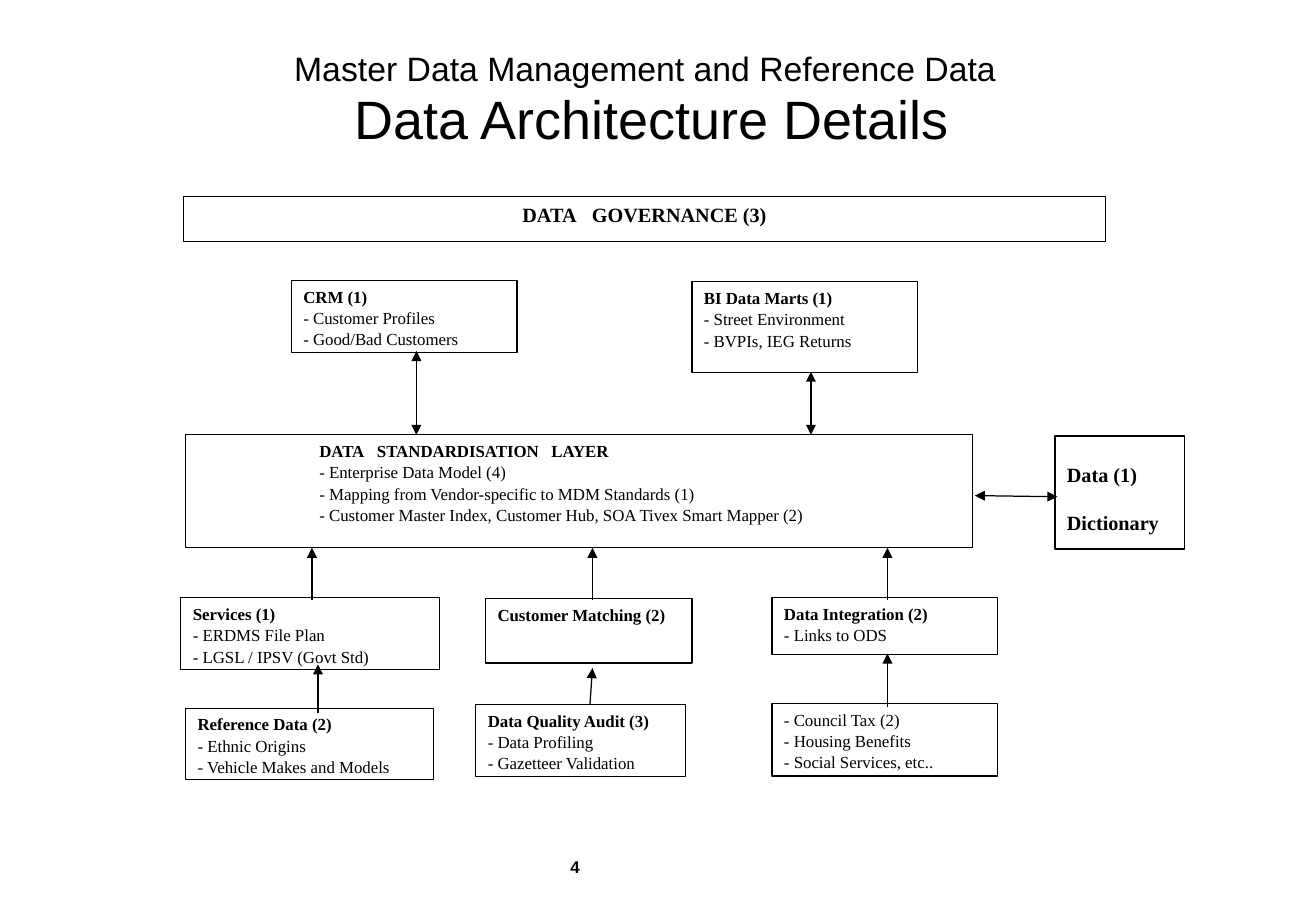
"""Builds the data architecture slide."""
from lxml.etree import SubElement as Sub
from pptx import Presentation as Deck
from pptx.dml.color import RGBColor as Color
from pptx.enum.shapes import MSO_CONNECTOR as Link, MSO_SHAPE as Form
from pptx.enum.text import MSO_ANCHOR as Anchor, MSO_AUTO_SIZE as Fit, PP_ALIGN as Align
from pptx.oxml.ns import qn
from pptx.util import Inches, Pt

BLACK = Color(0, 0, 0)
WHITE = Color(255, 255, 255)
SANS, SERIF = "Arial", "Times New Roman"
CELL = 0.1


def grid(*nums):
    """Turn columns and rows into lengths."""
    return [Inches(num * CELL) for num in nums]


class Page:
    """Holds the slide and its style."""

    def __init__(self, deck):
        """Add a slide with a title."""
        self.slide = deck.slides.add_slide(deck.slide_layouts[5])
        self.shapes = self.slide.shapes
        self.line = Pt(0.75)

    def run(self, para, text, size, face=SERIF, bold=False):
        """Add one styled run."""
        run = para.add_run()
        run.text = text
        font = run.font
        font.name, font.size, font.bold = face, Pt(size), bold
        font.color.rgb = BLACK
        return run

    def frame(self, shape, left=1, top=0.5):
        """Set margins and wrapping."""
        frame = shape.text_frame
        frame.auto_size, frame.word_wrap = Fit.NONE, True
        frame.margin_left, frame.margin_top = grid(left, top)
        frame.margin_right, frame.margin_bottom = grid(1, 0.5)
        frame.vertical_anchor = Anchor.TOP
        return frame

    def title(self, area, lines):
        """Fill the title, one paragraph a line."""
        shape = self.shapes.title
        shape.left, shape.top, shape.width, shape.height = grid(*area)
        frame = self.frame(shape)
        frame.vertical_anchor = Anchor.MIDDLE
        for num, parts in enumerate(lines):
            para = frame.add_paragraph() if num else frame.paragraphs[0]
            para.alignment, para.line_spacing = Align.CENTER, 0.93
            for text, size in parts:
                self.run(para, text, size, SANS)

    def note(self, area, text):
        """Add a small bold label."""
        frame = self.frame(self.shapes.add_textbox(*grid(*area)))
        self.run(frame.paragraphs[0], text, 10, SANS, True)

    def box(self, area, head, items=(), size=10, left=1, top=0.5,
            gap=0.6, align=Align.LEFT):
        """Add a box; parts of a bold line are set wide apart."""
        shape = self.shapes.add_shape(Form.RECTANGLE, *grid(*area))
        shape.shadow.inherit = False
        shape.fill.solid()
        shape.fill.fore_color.rgb = WHITE
        shape.line.color.rgb, shape.line.width = BLACK, self.line
        frame = self.frame(shape, left, top)
        rows = [(head, True)] if head else []
        rows += [((item,), item[0] != "-") for item in items]
        for num, (parts, bold) in enumerate(rows):
            para = frame.add_paragraph() if num else frame.paragraphs[0]
            para.alignment = align
            if num:
                para.space_before = Pt(gap)
            for spot, part in enumerate(parts):
                if spot:
                    wide = self.run(para, " ", size, SERIF, True)
                    wide._r.get_or_add_rPr().set("spc", str(size * 50))
                self.run(para, part, size, SERIF, bold)

    def arrow(self, x, y, x2, y2, both=False):
        """Draw an arrow with one head or two."""
        arrow = self.shapes.add_connector(Link.STRAIGHT, *grid(x, y, x2, y2))
        arrow.line.color.rgb, arrow.line.width = BLACK, self.line
        line = arrow.line._get_or_add_ln()
        for end in ("a:headEnd", "a:tailEnd") if both else ("a:tailEnd",):
            Sub(line, qn(end), type="triangle")
        Sub(arrow._element.spPr, qn("a:effectLst"))


def main():
    """Build and save the slide."""
    deck = Deck()
    deck.slide_width, deck.slide_height = grid(108.4, 75)
    page = Page(deck)
    page.title((8.1, 0, 91.2, 15.7), [
        [("Master Data Management and Reference Data", 20), (" ", 28)],
        [("Data Architecture Details", 32)]])
    page.note((46, 70, 6.3, 2.6), "4")

    page.box((15.1, 16.2, 76, 3.7), ("DATA", "GOVERNANCE (3)"), size=12,
             align=Align.CENTER)
    page.box((15.3, 35.8, 64.8, 9.3), ("DATA", "STANDARDISATION", "LAYER"), [
        "- Enterprise Data Model (4)",
        "- Mapping from Vendor-specific to MDM Standards (1)",
        "- Customer Master Index, Customer Hub, SOA Tivex Smart Mapper (2)",
    ], left=11)
    page.box((86.9, 35.9, 10.7, 9.3), ("Data (1)",), ["Dictionary"],
             size=12, top=2.2, gap=13.5)

    for area, head, items in [
        ((24, 23.1, 18.6, 5.9), "CRM (1)",
         ["- Customer Profiles", "- Good/Bad Customers"]),
        ((57, 23.2, 18.6, 7.5), "BI Data Marts (1)",
         ["- Street Environment", "- BVPIs, IEG Returns"]),
        ((14.9, 49.2, 21.3, 5.9), "Services (1)",
         ["- ERDMS File Plan", "- LGSL / IPSV (Govt Std)"]),
        ((40, 49.3, 17, 5.3), "Customer Matching (2)", []),
        ((63.6, 49.2, 18.6, 4.7), "Data Integration (2)", ["- Links to ODS"]),
        ((15.3, 58.3, 20.4, 5.9), "Reference Data (2)",
         ["- Ethnic Origins", "- Vehicle Makes and Models"]),
        ((39.2, 58, 17.3, 5.9), "Data Quality Audit (3)",
         ["- Data Profiling", "- Gazetteer Validation"]),
        ((63.6, 57.9, 18.6, 6), "",
         ["- Council Tax (2)", "- Housing Benefits",
          "- Social Services, etc.."]),
    ]:
        page.box(area, (head,) if head else (), items)

    for ends in [(34.3, 35.8, 34.3, 28.9), (66.8, 35.8, 66.8, 30.6),
                 (80.3, 40.8, 87.1, 40.9)]:
        page.arrow(*ends, both=True)
    for x in (25.7, 48.8, 73.1):
        page.arrow(x, 49.4, x, 45.1)
    for ends in [(26.2, 58.7, 26.2, 54.7), (48.6, 58, 48.8, 55),
                 (73.1, 58.2, 73.1, 53.8)]:
        page.arrow(*ends)
    deck.save("out.pptx")


if __name__ == "__main__":
    main()
